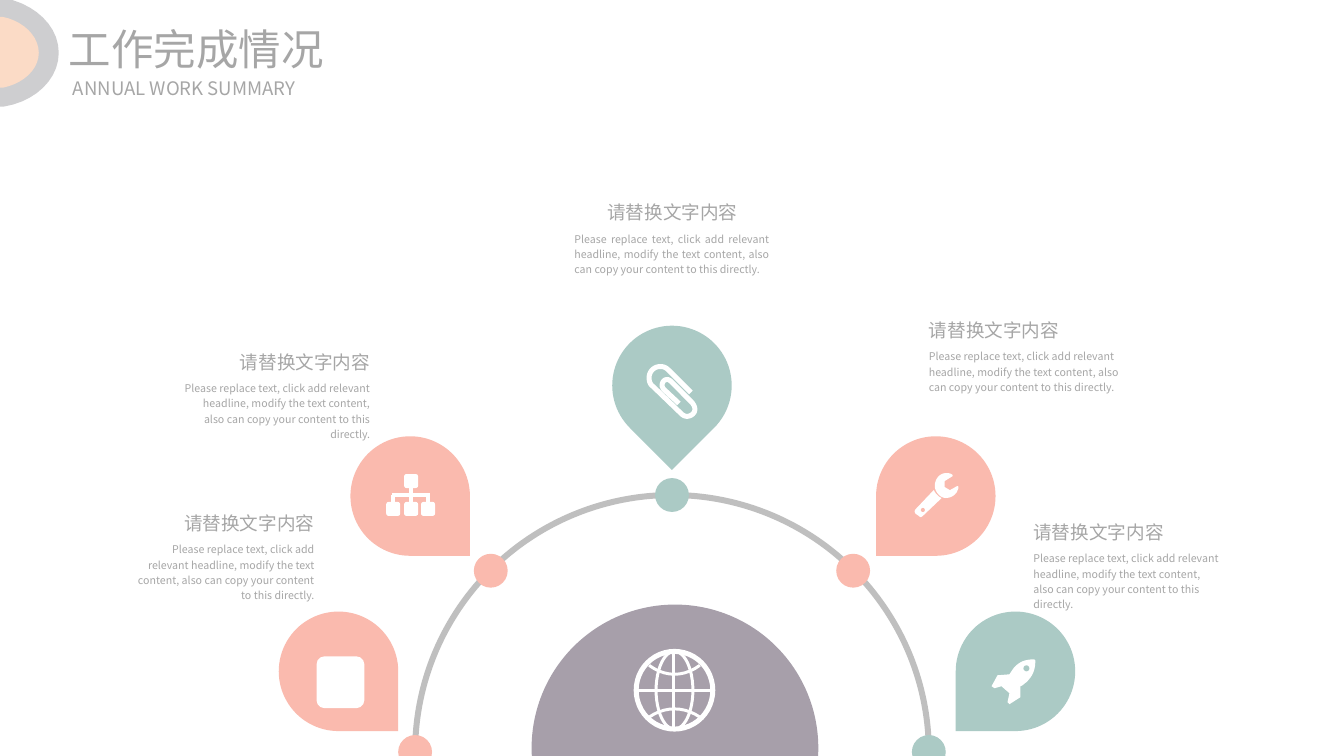
from math import cos, radians, sin

from lxml import etree
from pptx import Presentation
from pptx.dml.color import RGBColor
from pptx.enum.shapes import MSO_CONNECTOR, MSO_SHAPE
from pptx.enum.text import MSO_ANCHOR, MSO_AUTO_SIZE, PP_ALIGN
from pptx.oxml.ns import qn
from pptx.util import Pt

PX = 9525
LEFT, MID, RIGHT = PP_ALIGN.LEFT, PP_ALIGN.JUSTIFY, PP_ALIGN.RIGHT
TOP, CENTER = MSO_ANCHOR.TOP, MSO_ANCHOR.MIDDLE
FIT = MSO_AUTO_SIZE.SHAPE_TO_FIT_TEXT
OVAL, DROP, ROUND = MSO_SHAPE.OVAL, MSO_SHAPE.TEAR, MSO_SHAPE.ROUNDED_RECTANGLE
CHORD, ARC = MSO_SHAPE.CHORD, MSO_SHAPE.ARC
STRAIGHT = MSO_CONNECTOR.STRAIGHT
THEME = {
    "font": "Noto Sans CJK SC", "title": 32, "head": 14, "body": 8,
    "text": RGBColor.from_string("A6A6A6"), "ring": RGBColor.from_string("BFBFBF"),
    "pink": RGBColor.from_string("FABAAE"), "teal": RGBColor.from_string("ABCAC5"),
    "plum": RGBColor.from_string("A79FAA"), "white": RGBColor.from_string("FFFFFF"),
    "grey": RGBColor.from_string("CECED0"), "peach": RGBColor.from_string("FBDBC6"),
}
HEAD = "请替换文字内容"
BODY = ("Please replace text, click add relevant headline, modify the text content, "
        "also can copy your content to this directly.")

deck = Presentation()
deck.slide_width, deck.slide_height = 1350 * PX, 759 * PX
slide = deck.slides.add_slide(deck.slide_layouts[6])
shapes = slide.shapes


def draw(form, fill=None, line=None, width=0):
    """Add a preset (kind, x, y, w, h) or an outline of points and cubic curves."""
    if isinstance(form, tuple):
        item = shapes.add_shape(form[0], *[n * PX for n in form[1:]])
    else:
        last, dots = form[0], []
        for part in form[1:]:
            if len(part) == 2:
                dots.append(part)
            else:
                pts = [last, part[:2], part[2:4], part[4:]]
                for t in [step / 10 for step in range(1, 11)]:
                    mix = ((1 - t) ** 3, 3 * t * (1 - t) ** 2, 3 * t * t * (1 - t), t ** 3)
                    dots.append([sum(m * p[axis] for m, p in zip(mix, pts)) for axis in (0, 1)])
            last = part[-2:]
        pen = shapes.build_freeform(form[0][0] * PX, form[0][1] * PX)
        pen.add_line_segments([(x * PX, y * PX) for x, y in dots], close=fill is not None)
        item = pen.convert_to_shape()
    item.shadow.inherit = False
    if fill is None:
        item.fill.background()
    else:
        item.fill.solid()
        item.fill.fore_color.rgb = fill
    if line is None:
        item.line.fill.background()
    else:
        item.line.color.rgb = line
        item.line.width = Pt(width)
    return item


def write(text, size, x, y, w, h, align=LEFT, anchor=TOP, wrap=True, gap=1.0):
    frame = shapes.add_textbox(x * PX, y * PX, w * PX, h * PX).text_frame
    frame.margin_left = frame.margin_right = frame.margin_top = frame.margin_bottom = 0
    frame.word_wrap, frame.auto_size, frame.vertical_anchor = wrap, FIT, anchor
    para = frame.paragraphs[0]
    para.alignment, para.line_spacing = align, gap
    run = para.add_run()
    run.text = text
    run.font.size, run.font.name = Pt(size), THEME["font"]
    run.font.color.rgb = THEME["text"]
    etree.SubElement(run._r.get_or_add_rPr(), qn("a:ea")).set("typeface", THEME["font"])


white, pink, teal = THEME["white"], THEME["pink"], THEME["teal"]

# Central dome and ring; angle adjustments are degrees times 0.6
dome = draw((CHORD, 534, 607, 288, 288), THEME["plum"])
dome.adjustments[0], dome.adjustments[1] = 150 * 0.6, 30 * 0.6
ring = draw((ARC, 417, 497, 516, 516), None, THEME["ring"], 4.5)
ring.adjustments[0], ring.adjustments[1] = 108 * 0.6, 0

# Branches: node angle, colour, drop x, y, turn, text x, y, width, height, side
branches = [
    (180, pink, 280, 614, 90, 131, 543, 185, 62, RIGHT),
    (135, pink, 352, 438, 90, 184, 381, 188, 62, RIGHT),
    (90, teal, 615, 327, 135, 577, 231, 196, 46, MID),
    (45, pink, 880, 438, 180, 933, 349, 196, 46, LEFT),
    (0, teal, 960, 614, 180, 1038, 552, 188, 62, LEFT),
]
for angle, color, x, y, turn, tx, ty, tw, th, side in branches:
    cx = 675 + round(258 * cos(radians(angle)))
    cy = 755 - round(258 * sin(radians(angle)))
    draw((OVAL, cx - 17, cy - 17, 34, 34), color)
    draw((DROP, x, y, 120, 120), color).rotation = turn
    write(BODY, THEME["body"], tx, ty, tw, th, side, gap=1.2)
    shift = {LEFT: 0, MID: (tw - 132) // 2, RIGHT: tw - 132}[side]
    write(HEAD, THEME["head"], tx + shift, ty - 29, 132, 23,
          LEFT if side == LEFT else RIGHT, wrap=False)

# Globe
draw((OVAL, 639, 654, 77, 78), None, white, 3.75)
draw((OVAL, 659, 654, 37, 78), None, white, 2.25)
for edge, bend in ((668, 680), (720, 709)):
    draw([(652, edge), (668, bend, 687, bend, 703, edge)], None, white, 2.25)

# Straight strokes of the globe and the tree
strokes = [(677, 654, 677, 732, 2.25), (639, 693, 716, 693, 2.25), (394, 497, 432, 497, 3)]
strokes += [(x, top, x, 506, 3) for x, top in ((395, 497), (413, 488), (430, 497))]
for x1, y1, x2, y2, width in strokes:
    bar = shapes.add_connector(STRAIGHT, x1 * PX, y1 * PX, x2 * PX, y2 * PX)
    bar.line.color.rgb, bar.line.width = white, Pt(width)
    etree.SubElement(bar._element.spPr, qn("a:effectLst"))

# Tree boxes
for x, y in ((406, 476), (388, 504), (406, 504), (423, 504)):
    draw((ROUND, x, y, 14, 14), white)

# Paper clip
draw([(694, 394), (672, 372), (669, 369, 667, 368, 663, 368), (657, 368, 652, 373, 652, 379),
      (652, 383, 653, 386, 656, 388), (684, 415), (686, 417, 688, 418, 690, 418),
      (694, 418, 698, 415, 698, 411), (698, 408, 696, 405, 695, 404), (674, 383),
      (673, 382, 672, 381, 670, 381), (667, 381, 665, 384, 665, 387),
      (665, 388, 666, 390, 667, 391), (682, 405)], None, white, 3.75)

# Wrench: handle, head, hole
draw([(927, 518), (925, 520, 924, 519, 923, 518), (920, 516), (918, 514, 919, 512, 920, 511),
      (938, 492), (940, 496, 943, 499, 946, 500)], white)
draw([(962, 492), (961, 496, 956, 500, 950, 500), (944, 500, 939, 493, 939, 488),
      (939, 481, 944, 475, 950, 475), (953, 475, 955, 475, 957, 477), (957, 478), (949, 483),
      (949, 489), (954, 492), (955, 492, 961, 488, 962, 488), (963, 488, 963, 491, 962, 492)],
     white)
draw((OVAL, 925, 510, 4, 4), pink)

# Rocket and its window
draw([(1031, 685), (1029, 686, 1028, 688, 1025, 689), (1025, 700), (1014, 707), (1012, 705),
      (1014, 696), (1006, 689), (999, 691), (996, 689), (1002, 678), (1014, 677), (1018, 671),
      (1024, 664, 1030, 662, 1039, 662), (1040, 663), (1040, 672, 1038, 678, 1031, 685)], white)
draw((OVAL, 1028, 668, 6, 6), teal)

# Plain badge
draw((ROUND, 318, 659, 48, 52), white)

# Title and corner half discs
write("工作完成情况", THEME["title"], 69, 23, 415, 52, anchor=CENTER)
write(" ANNUAL WORK SUMMARY", THEME["head"], 69, 77, 295, 23, anchor=CENTER)
draw([(0, -2), (4, -2), (35, 4, 59, 26, 59, 53), (59, 80, 35, 102, 4, 107), (0, 107)],
     THEME["grey"])
draw([(0, 17), (3, 17), (23, 21, 39, 36, 39, 53), (39, 70, 23, 84, 3, 88), (0, 88)],
     THEME["peach"])

deck.save("out.pptx")
